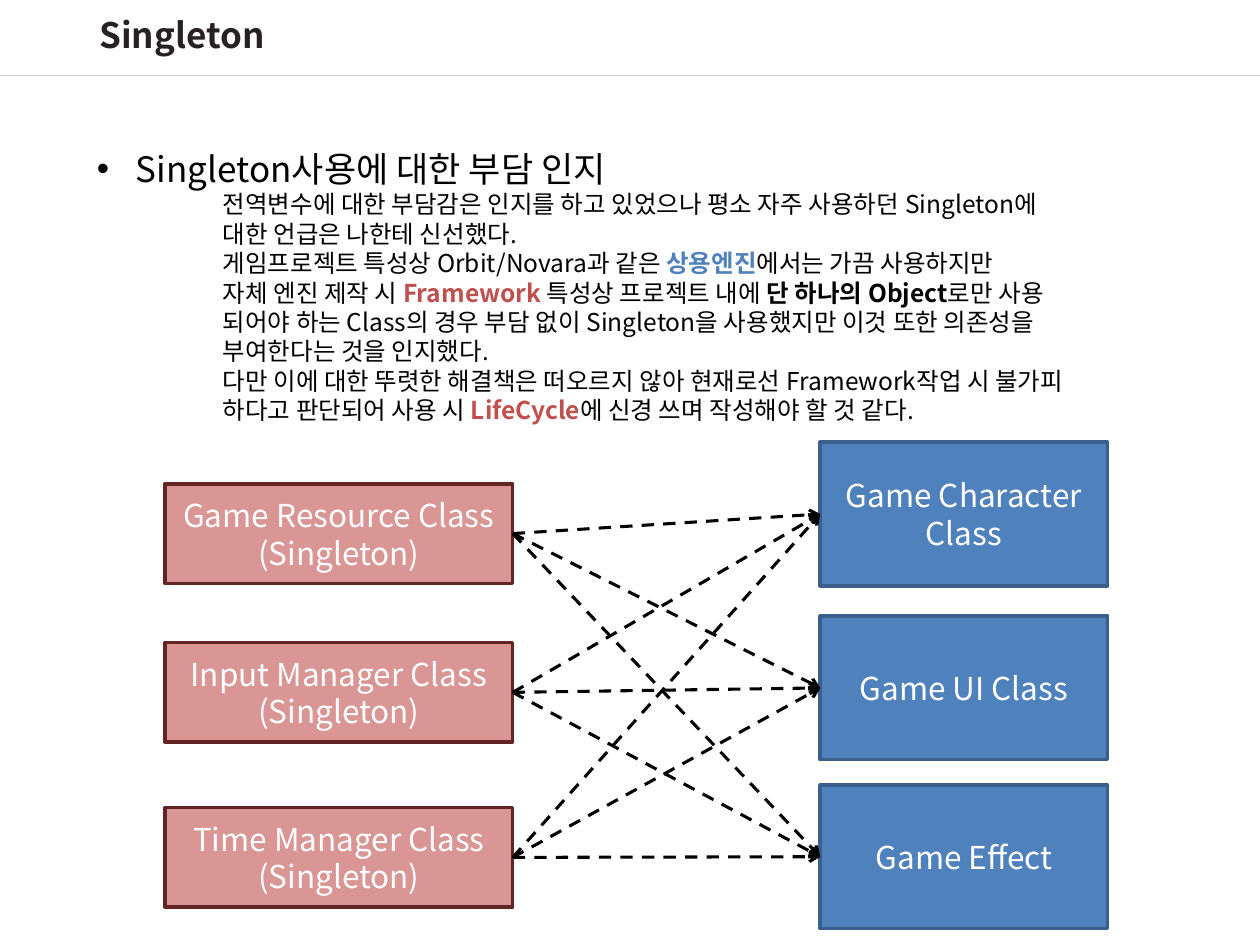
import itertools

import pptx
import pptx.dml.color
import pptx.enum.dml
import pptx.enum.shapes
import pptx.enum.text
import pptx.oxml
import pptx.oxml.ns
import pptx.util
from pptx.util import Inches

RGBColor = pptx.dml.color.RGBColor
BLACK = RGBColor(0x00, 0x00, 0x00)
WHITE = RGBColor(0xFF, 0xFF, 0xFF)
TITLE_INK = RGBColor(0x27, 0x21, 0x23)
RULE_GRAY = RGBColor(0xA6, 0xA6, 0xA6)
BLUE = RGBColor(0x4F, 0x81, 0xBD)
BLUE_EDGE = RGBColor(0x3A, 0x5F, 0x8C)
RED = RGBColor(0xC0, 0x50, 0x4D)
PINK = RGBColor(0xD9, 0x96, 0x94)
PINK_EDGE = RGBColor(0x63, 0x25, 0x23)
FONT = "Noto Sans CJK KR"
CENTER = pptx.enum.text.PP_ALIGN.CENTER

HEADING = "Singleton사용에 대한 부담 인지"
BODY = [
    [("전역변수에 대한 부담감은 인지를 하고 있었으나 평소 자주 사용하던 Singleton에",)],
    [("대한 언급은 나한테 신선했다.",)],
    [("게임프로젝트 특성상 Orbit/Novara과 같은 ",), ("상용엔진", BLUE, True), ("에서는 가끔 사용하지만",)],
    [("자체 엔진 제작 시 ",), ("Framework ", RED, True), ("특성상 프로젝트 내에 ",),
     ("단 하나의 Object", BLACK, True), ("로만 사용",)],
    [("되어야 하는 Class의 경우 부담 없이 Singleton을 사용했지만 이것 또한 의존성을",)],
    [("부여한다는 것을 인지했다.",)],
    [("다만 이에 대한 뚜렷한 해결책은 떠오르지 않아 현재로선 Framework작업 시 불가피",)],
    [("하다고 판단되어 사용 시 ",), ("LifeCycle", RED, True), ("에 신경 쓰며 작성해야 할 것 같다.",)],
]
SINGLETONS = [("Game Resource Class", 3.84), ("Input Manager Class", 5.1), ("Time Manager Class", 6.41)]
USERS = [("Game Character Class", 3.51), ("Game UI Class", 4.89), ("Game Effect", 6.23)]


def add_child(parent, tag, **attributes):
    """Append a DrawingML element to a parent."""
    child = pptx.oxml.parse_xml(f"<a:{tag} {pptx.oxml.ns.nsdecls('a')}/>")
    for name, value in attributes.items():
        child.set(name, value)
    parent.append(child)
    return child


def format_run(run, size, color=BLACK, bold=False):
    """Give a run its size, colour, weight and typeface."""
    run.font.size = pptx.util.Pt(size)
    run.font.bold = bold
    run.font.color.rgb = color
    run.font.name = FONT
    add_child(run.font._element, "ea", typeface=FONT)


def set_indent(para, left, first=0):
    """Set the left margin and first-line indent of a paragraph."""
    properties = para._p.get_or_add_pPr()
    properties.set("marL", str(Inches(left)))
    properties.set("indent", str(Inches(first)))
    return properties


def add_text_box(page, left, top, width, height):
    """Add an empty wrapping text box."""
    box = page.shapes.add_textbox(Inches(left), Inches(top), Inches(width), Inches(height))
    box.text_frame.word_wrap = True
    return box


def add_title(page):
    """Add the slide title."""
    para = add_text_box(page, -0.75, 0.06, 4.39, 0.44).text_frame.paragraphs[0]
    para.text = "Singleton"
    para.alignment = CENTER
    format_run(para.runs[0], 20, TITLE_INK, True)


def add_explanation(page):
    """Add the bulleted heading and its indented lines."""
    frame = add_text_box(page, 0.67, 1.12, 8.75, 2.63).text_frame
    heading = frame.paragraphs[0]
    heading.text = HEADING
    format_run(heading.runs[0], 20)
    properties = set_indent(heading, 0.31, -0.31)
    add_child(properties, "buFont", typeface="Arial")
    add_child(properties, "buChar", char="•")
    for pieces in BODY:
        para = frame.add_paragraph()
        set_indent(para, 1)
        for text, *style in pieces:
            run = para.add_run()
            run.text = text
            format_run(run, 14, *style)


def add_class_box(page, text, left, top, width, height, fill, edge):
    """Add a labelled rectangle for a class."""
    box = page.shapes.add_shape(pptx.enum.shapes.MSO_SHAPE.RECTANGLE,
                                Inches(left), Inches(top), Inches(width), Inches(height))
    box.shadow.inherit = False
    box.fill.solid()
    box.fill.fore_color.rgb = fill
    box.line.color.rgb = edge
    box.line.width = pptx.util.Pt(2)
    box.text_frame.text = text
    box.text_frame.vertical_anchor = pptx.enum.text.MSO_ANCHOR.MIDDLE
    for para in box.text_frame.paragraphs:
        para.alignment = CENTER
        format_run(para.runs[0], 18, WHITE)
    return box


def add_line(page, start, end, color, width):
    """Add a straight connector without a shadow."""
    line = page.shapes.add_connector(pptx.enum.shapes.MSO_CONNECTOR.STRAIGHT,
                                     *map(Inches, start + end))
    line.line.color.rgb = color
    line.line.width = pptx.util.Pt(width)
    add_child(line._element.spPr, "effectLst")
    return line


def add_rule(page):
    """Add the translucent line below the title."""
    rule = add_line(page, (-0.59, 0.6), (10.92, 0.6), RULE_GRAY, 0.75)
    color = rule.line._ln.find(".//" + pptx.oxml.ns.qn("a:srgbClr"))
    add_child(color, "alpha", val="50000")


def add_dependency(page, source, target):
    """Join two class boxes with a dashed arrow."""
    arrow = add_line(page, (0, 0), (0, 0), BLACK, 1.75)
    arrow.begin_connect(source, 3)
    arrow.end_connect(target, 1)
    arrow.line.dash_style = pptx.enum.dml.MSO_LINE.DASH
    add_child(arrow.line._ln, "tailEnd", type="arrow")


def main():
    """Build and save the slide."""
    deck = pptx.Presentation()
    deck.slide_width, deck.slide_height = Inches(10), Inches(7.5)
    page = deck.slides.add_slide(deck.slide_layouts[6])
    add_rule(page)
    add_explanation(page)
    singletons = [add_class_box(page, name + "\n(Singleton)", 1.31, top, 2.76, 0.79, PINK, PINK_EDGE)
                  for name, top in SINGLETONS]
    users = [add_class_box(page, name, 6.51, top, 2.28, 1.14, BLUE, BLUE_EDGE)
             for name, top in USERS]
    for source, target in itertools.product(singletons, users):
        add_dependency(page, source, target)
    add_title(page)
    deck.save("out.pptx")


if __name__ == "__main__":
    main()
